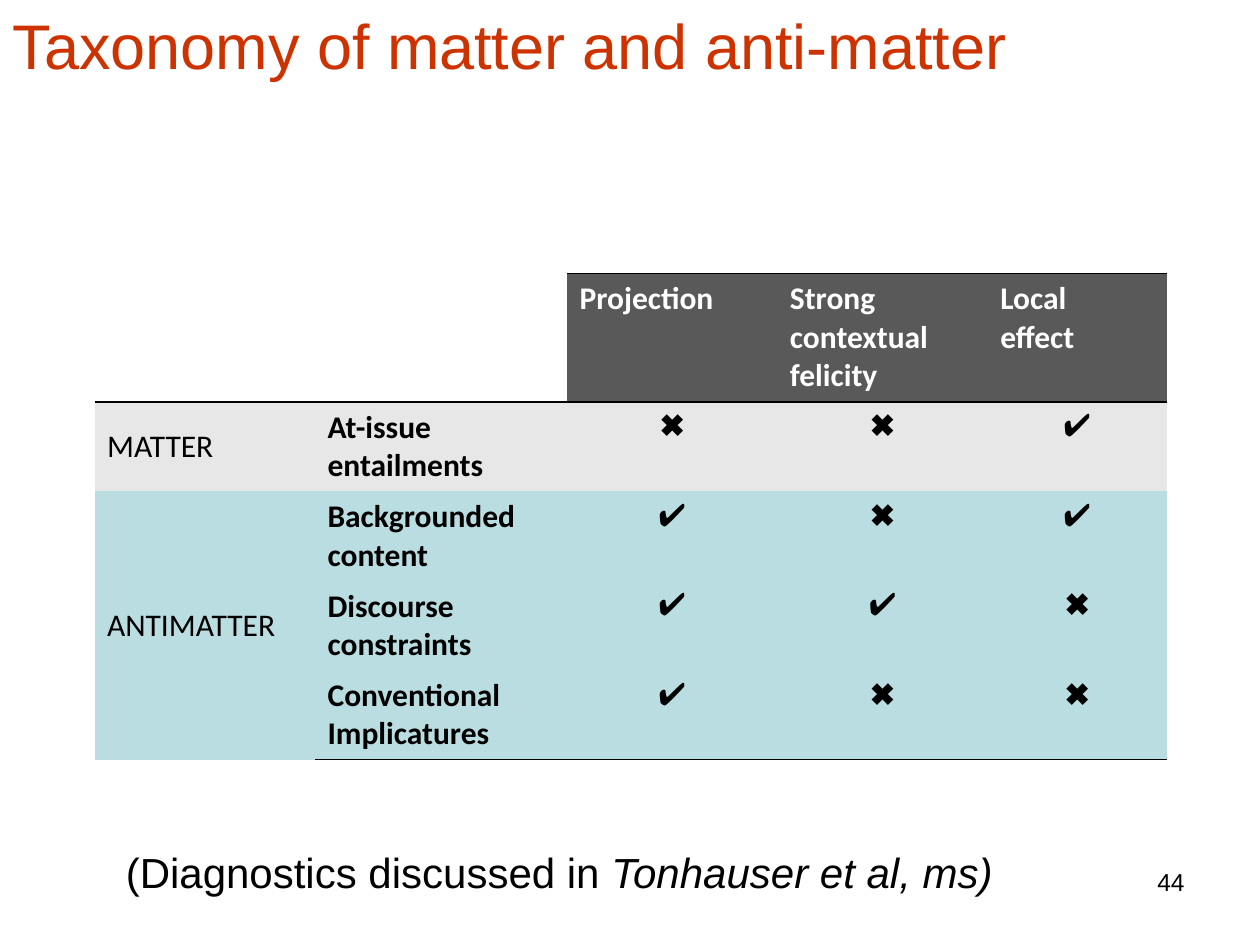
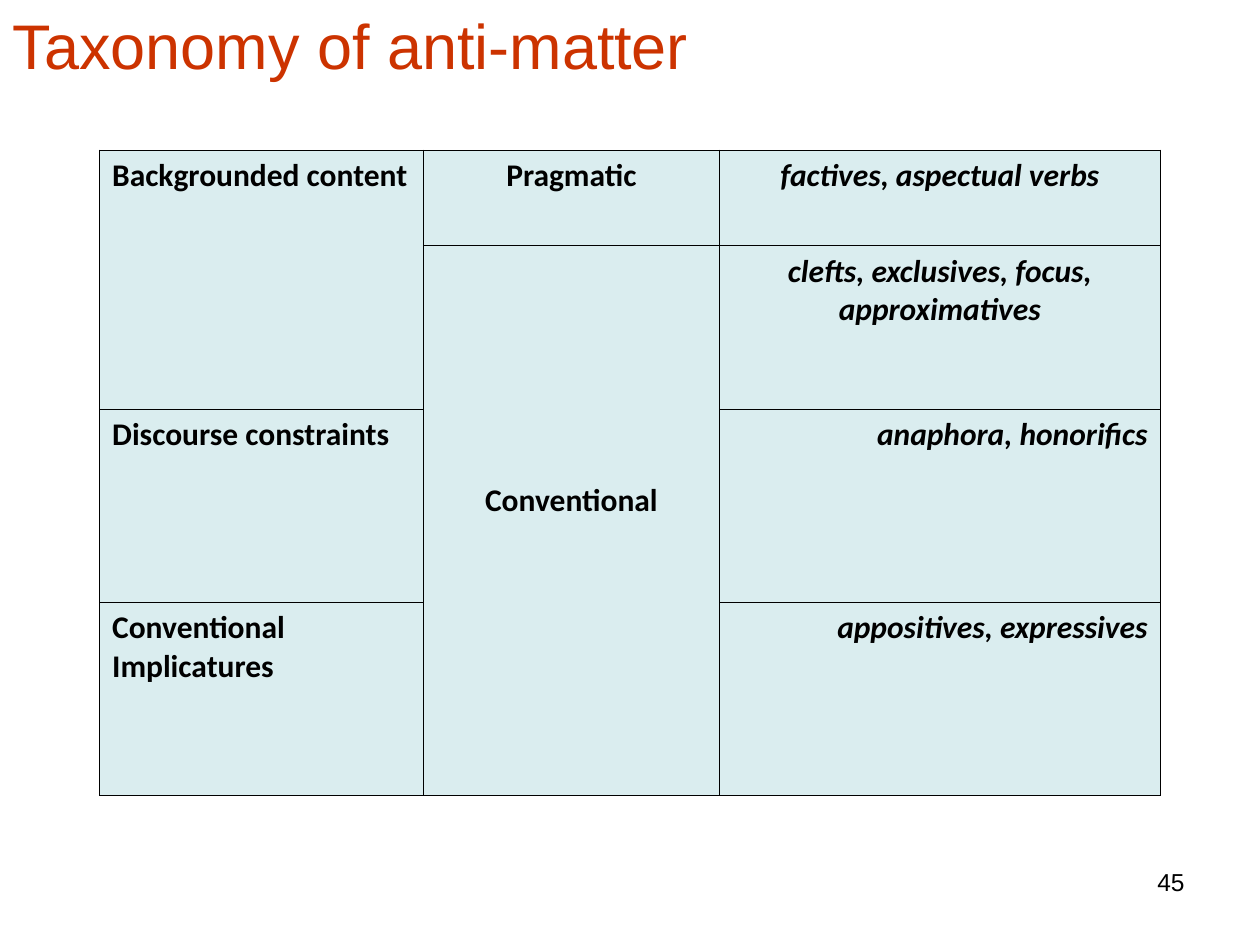
from lxml import etree
from pptx import Presentation
from pptx import util as u
from pptx.dml.color import RGBColor
from pptx.enum import text
from pptx.oxml.ns import qn

# Shared colours and fonts
RED, BLACK, WHITE = "CC3300", "000000", "FFFFFF"
DARK, GREY, TEAL, PALE = "595959", "E7E7E7", "BADDE1", "DAEDEF"
BODY, TABLE = "Arial", "Calibri"
ALIGN = {"l": text.PP_ALIGN.LEFT, "c": text.PP_ALIGN.CENTER, "r": text.PP_ALIGN.RIGHT}
YES, NO = "✔", "✖"


def color(value):
    return RGBColor.from_string(value)


def write(frame, content, size=18, font=TABLE, ink=BLACK, bold=False,
          italic=False, align="l"):
    """Fill a frame: newlines split paragraphs, a list holds (text, italic) spans."""
    spans = content if isinstance(content, list) else None
    lines = [spans] if spans else [[(line, italic)] for line in content.split("\n")]
    for index, line in enumerate(lines):
        para = frame.add_paragraph() if index else frame.paragraphs[0]
        para.alignment = ALIGN[align]
        for words, slanted in line:
            span = para.add_run()
            span.text = words
            span.font.size = u.Pt(size)
            span.font.name = font
            span.font.bold = bold
            span.font.italic = slanted
            span.font.color.rgb = color(ink)


def set_borders(cell, widths):
    """Draw black borders on the sides in widths and clear the others."""
    properties = cell._tc.get_or_add_tcPr()
    for side in "LRTB":
        line = etree.SubElement(properties, qn(f"a:ln{side}"))
        if side in widths:
            line.set("w", str(u.Pt(widths[side])))
            solid = etree.SubElement(line, qn("a:solidFill"))
            etree.SubElement(solid, qn("a:srgbClr")).set("val", BLACK)
        else:
            etree.SubElement(line, qn("a:noFill"))


class SlideBuilder:
    def __init__(self):
        self.deck = Presentation()
        self.deck.slide_width, self.deck.slide_height = u.Inches(10), u.Inches(7.5)
        self.page = None

    def start(self, title, number):
        self.page = self.deck.slides.add_slide(self.deck.slide_layouts[5])
        box = self.page.shapes.title
        box.left, box.top, box.width, box.height = map(u.Inches, (0, 0, 8.5, 1.25))
        frame = box.text_frame
        frame.auto_size = text.MSO_AUTO_SIZE.NONE
        frame.vertical_anchor = text.MSO_ANCHOR.TOP
        write(frame, title, size=36, font=BODY, ink=RED)
        self.label(str(number), 7.17, 6.83, 2.33, 0.52, size=14, align="r")

    def label(self, content, left, top, width, height, wrap=True, **style):
        box = self.page.shapes.add_textbox(*map(u.Inches, (left, top, width, height)))
        box.text_frame.word_wrap = wrap
        write(box.text_frame, content, font=BODY, **style)

    def table(self, left, top, columns, rows, merges):
        frame = self.page.shapes.add_table(
            len(rows), len(columns),
            *map(u.Inches, (left, top, sum(columns), sum(rows))))
        grid = frame.table
        grid.first_row = grid.horz_banding = False
        for column, width in zip(grid.columns, columns):
            column.width = u.Inches(width)
        for row, height in zip(grid.rows, rows):
            row.height = u.Inches(height)
        for first, last in merges:
            grid.cell(*first).merge(grid.cell(*last))
        return grid

    def cell(self, grid, row, column, content, fill, borders, middle=False, **style):
        cell = grid.cell(row, column)
        set_borders(cell, borders)
        cell.fill.solid()
        cell.fill.fore_color.rgb = color(fill)
        if middle:
            cell.vertical_anchor = text.MSO_ANCHOR.MIDDLE
        if content:
            write(cell.text_frame, content, **style)
        return cell


def matter_slide(builder):
    builder.start("Taxonomy of matter and anti-matter", 44)
    rows = [
        ("", "", "Projection", "Strong contextual felicity", "Local\neffect"),
        ("MATTER", "At-issue\nentailments", NO, NO, YES),
        ("ANTIMATTER", "Backgrounded content", YES, NO, YES),
        ("", "Discourse constraints", YES, YES, NO),
        ("", "Conventional Implicatures", YES, NO, NO),
    ]
    fills = [DARK, GREY, TEAL, TEAL, TEAL]
    rules = ["TB", "T", "", "", "B"]
    grid = builder.table(0.75, 2.17, [1.75, 2, 1.67, 1.67, 1.42], [1.02] + [0.71] * 4,
                         [((0, 0), (0, 1)), ((2, 0), (4, 0))])
    for row, words in enumerate(rows):
        for column, content in enumerate(words):
            corner = row == 0 and column < 2
            mark = content in (YES, NO)
            sides = "B" if corner else rules[row]
            builder.cell(grid, row, column, content, WHITE if corner else fills[row],
                         dict.fromkeys(sides, 0.96), middle=column == 0,
                         font=BODY if mark else TABLE, align="c" if mark else "l",
                         bold=column > 0 and not mark, ink=BLACK if row else WHITE)
    builder.label([("(Diagnostics discussed in", False), (" Tonhauser et al, ms)", True)],
                  0.9, 6.67, 7.11, 0.5, wrap=False, size=24)


def antimatter_slide(builder):
    builder.start("Taxonomy of anti-matter", 45)
    rows = [
        ("Backgrounded content", "Pragmatic", "factives, aspectual verbs"),
        ("", "Conventional", "clefts, exclusives, focus, approximatives"),
        ("Discourse constraints", "", "anaphora, honorifics"),
        ("Conventional Implicatures", "", "appositives, expressives"),
    ]
    grid = builder.table(0.79, 1.19, [2.57, 2.35, 3.5], [0.76, 1.3, 1.53, 1.53],
                         [((0, 0), (1, 0)), ((1, 1), (3, 1))])
    for row, words in enumerate(rows):
        aligns = "lcc" if row < 2 else "lcr"
        for column, content in enumerate(words):
            cell = builder.cell(grid, row, column, content, PALE,
                                dict.fromkeys("LRTB", 0.45),
                                middle=content == "Conventional", bold=True,
                                italic=column == 2, align=aligns[column])
            if content == "Conventional":
                cell.margin_bottom = u.Inches(0.36)  # sits just above the middle


def main():
    builder = SlideBuilder()
    matter_slide(builder)
    antimatter_slide(builder)
    builder.deck.save("out.pptx")


if __name__ == "__main__":
    main()
